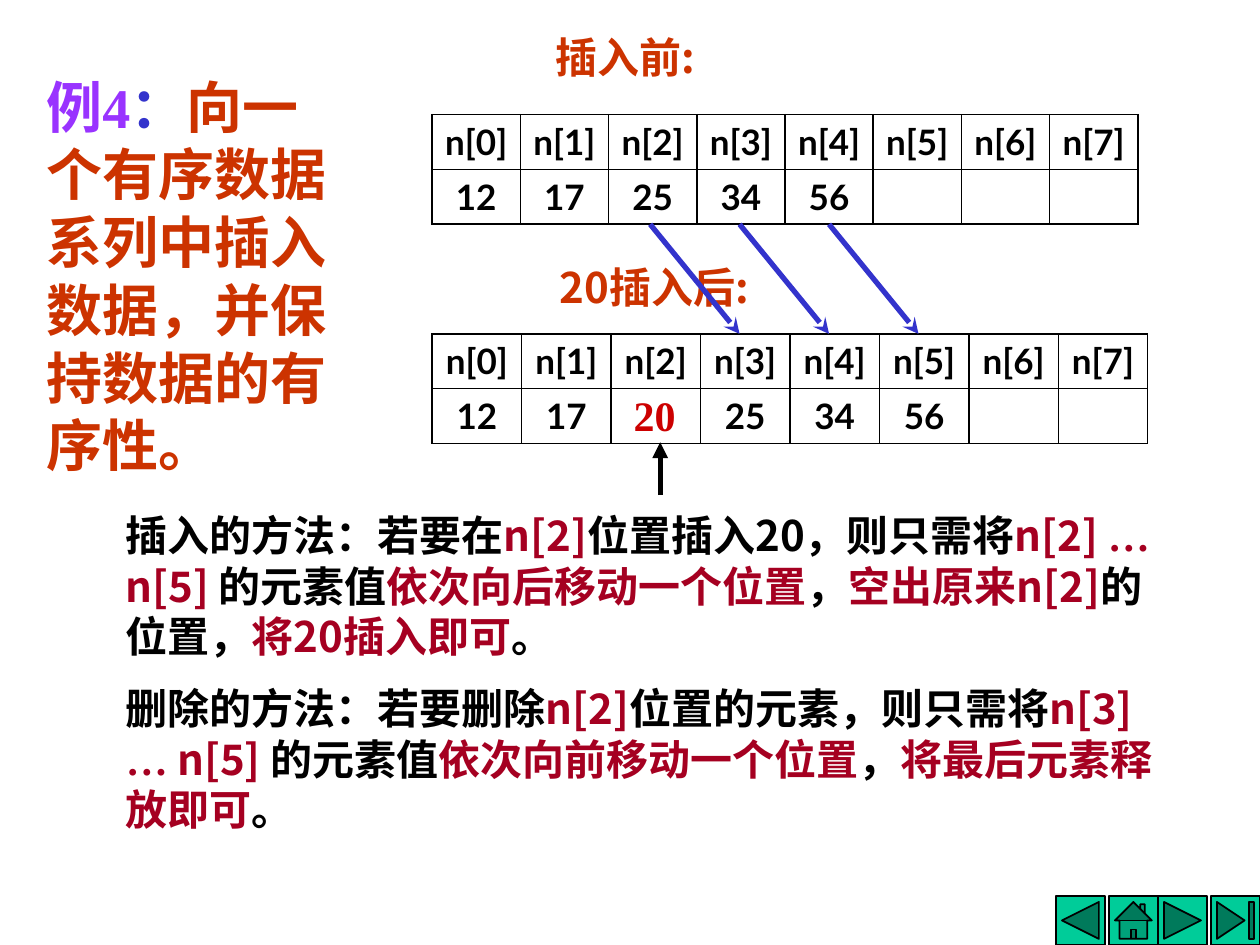
from typing import NamedTuple

from lxml import etree
from pptx import Presentation
from pptx.dml.color import RGBColor
from pptx.enum.shapes import MSO_CONNECTOR, MSO_SHAPE
from pptx.enum.text import PP_ALIGN
from pptx.oxml.ns import qn
from pptx.util import Inches, Pt

CENTER, LEFT = PP_ALIGN.CENTER, PP_ALIGN.LEFT
STRAIGHT = MSO_CONNECTOR.STRAIGHT
BUTTONS = [
    (8.38, MSO_SHAPE.ACTION_BUTTON_BACK_OR_PREVIOUS),
    (8.8, MSO_SHAPE.ACTION_BUTTON_HOME),
    (9.19, MSO_SHAPE.ACTION_BUTTON_FORWARD_OR_NEXT),
    (9.61, MSO_SHAPE.ACTION_BUTTON_END),
]
SANS, SERIF, LATO = "Noto Sans CJK SC", "Times New Roman", "Lato"
BLACK, ORANGE, BLUE, CRIMSON = "000000", "CC3300", "3333CC", "A50021"
LINE_FACTOR = 1.21


class Span(NamedTuple):
    text: str
    color: str = BLACK
    latin: str = SANS
    asian: str = SANS


class ArrayTable(NamedTuple):
    top: float
    column: float
    values: list[str]


ARRAY_LEFT, ROW_HEIGHT = 3.43, 0.435
BEFORE = ArrayTable(0.91, 0.7, ["12", "17", "25", "34", "56", "", "", ""])
AFTER = ArrayTable(2.65, 0.71, ["12", "17", "", "25", "34", "56", "", ""])

TITLE = [
    Span("例4", "9933FF", SERIF),
    Span("：", BLUE, SERIF),
    Span("向一个有序数据系列中插入数据，并保持数据的有序性。", ORANGE, SERIF),
]
ELLIPSIS = Span("…", CRIMSON, SERIF, SERIF)
INSERTING = [
    Span("插入的方法：若要在"), Span("n[2]", CRIMSON),
    Span("位置插入20，则只需将"), Span("n[2] ", CRIMSON), ELLIPSIS,
    Span(" n[5] ", CRIMSON), Span("的元素值"),
    Span("依次向后移动一个位置", CRIMSON), Span("，"),
    Span("空出原来n[2]", CRIMSON), Span("的位置，"),
    Span("将20插入即可", CRIMSON), Span("。"),
]
DELETING = [
    Span("删除的方法：若要删除"), Span("n[2]", CRIMSON),
    Span("位置的元素，则只需将"), Span("n[3] ", CRIMSON), ELLIPSIS,
    Span(" n[5] ", CRIMSON), Span("的元素值"),
    Span("依次向前移动一个位置", CRIMSON), Span("，"),
    Span("将最后元素释放即可", CRIMSON), Span("。"),
]


def rgb(value: str) -> RGBColor:
    return RGBColor.from_string(value)


def write_para(para, spans: list[Span], *, size: float, align=LEFT) -> None:
    para.alignment = align
    for span in spans:
        run = para.add_run()
        run.text = span.text
        font = run.font
        font.size, font.bold, font.name = Pt(size), True, span.latin
        font.color.rgb = rgb(span.color)
        asian = etree.SubElement(font._element, qn("a:ea"))
        asian.set("typeface", span.asian)


def add_text(page, left, top, width, height, *paragraphs: list[Span],
             size: float = 24, align=LEFT) -> None:
    box = page.shapes.add_textbox(Inches(left), Inches(top), Inches(width), Inches(height))
    frame = box.text_frame
    frame.word_wrap = True
    for index, spans in enumerate(paragraphs):
        para = frame.add_paragraph() if index else frame.paragraphs[0]
        para.line_spacing = Pt(round(size * LINE_FACTOR, 1))
        para.space_before = Pt(size / 2 if index else 0)
        write_para(para, spans, size=size, align=align)


def add_borders(cell) -> None:
    properties = cell._tc.get_or_add_tcPr()
    for position, side in enumerate(("a:lnL", "a:lnR", "a:lnT", "a:lnB")):
        line = etree.Element(qn(side), w=str(Pt(1)))
        fill = etree.SubElement(line, qn("a:solidFill"))
        etree.SubElement(fill, qn("a:srgbClr"), val=BLACK)
        properties.insert(position, line)


def add_array(page, array: ArrayTable) -> None:
    """Draw the index names above the stored values."""
    count = len(array.values)
    rows = [[f"n[{index}]" for index in range(count)], array.values]
    table = page.shapes.add_table(
        len(rows), count, Inches(ARRAY_LEFT), Inches(array.top),
        Inches(array.column * count), Inches(ROW_HEIGHT * len(rows))).table
    table.first_row = table.horz_banding = False
    for column in table.columns:
        column.width = Inches(array.column)
    for row, texts in enumerate(rows):
        table.rows[row].height = Inches(ROW_HEIGHT)
        for column, text in enumerate(texts):
            cell = table.cell(row, column)
            cell.margin_left = cell.margin_right = Inches(0.05)
            cell.fill.background()
            add_borders(cell)
            para = cell.text_frame.paragraphs[0]
            para.font.size = Pt(20)
            if text:
                write_para(para, [Span(text, latin=LATO)], size=20, align=CENTER)


def add_arrow(page, start: tuple[float, float], end: tuple[float, float], *,
              color: str, head: str) -> None:
    arrow = page.shapes.add_connector(STRAIGHT, *map(Inches, start + end))
    arrow.line.color.rgb = rgb(color)
    arrow.line.width = Pt(3)
    etree.SubElement(arrow.line._get_or_add_ln(), qn("a:tailEnd"), type=head)
    etree.SubElement(arrow._element.spPr, qn("a:effectLst"))


def add_button(page, left: float, kind) -> None:
    button = page.shapes.add_shape(
        kind, Inches(left), Inches(7.11), Inches(0.39), Inches(0.39))
    button.shadow.inherit = False
    button.fill.solid()
    button.fill.fore_color.rgb = rgb("00CC99")
    button.line.color.rgb = rgb(BLACK)
    button.line.width = Pt(1)


def main() -> None:
    deck = Presentation()
    deck.slide_width, deck.slide_height = Inches(10), Inches(7.5)
    page = deck.slides.add_slide(deck.slide_layouts[6])

    for left, kind in BUTTONS:
        add_button(page, left, kind)
    add_text(page, 0.27, 0.52, 2.52, 3.3, TITLE, size=32)
    add_array(page, BEFORE)
    add_text(page, 3.9, 0.2, 2.13, 0.5, [Span("插入前:", ORANGE)], align=CENTER)
    add_array(page, AFTER)
    add_text(page, 4.13, 2.02, 2.13, 0.5, [Span("20插入后:", ORANGE)], align=CENTER)
    add_arrow(page, (5.24, 3.93), (5.24, 3.51), color=BLACK, head="triangle")
    add_text(page, 0.9, 3.99, 8.35, 2.7, INSERTING, DELETING)

    moved_from = BEFORE.top + 2 * ROW_HEIGHT
    for step in range(3):
        start = 5.16 + step * AFTER.column
        add_arrow(page, (start, moved_from), (start + AFTER.column, AFTER.top),
                  color=BLUE, head="stealth")
    add_text(page, 4.92, 3.04, 0.55, 0.5, [Span("20", "CC0000", SERIF)], align=CENTER)


    deck.save("out.pptx")


if __name__ == "__main__":
    main()
